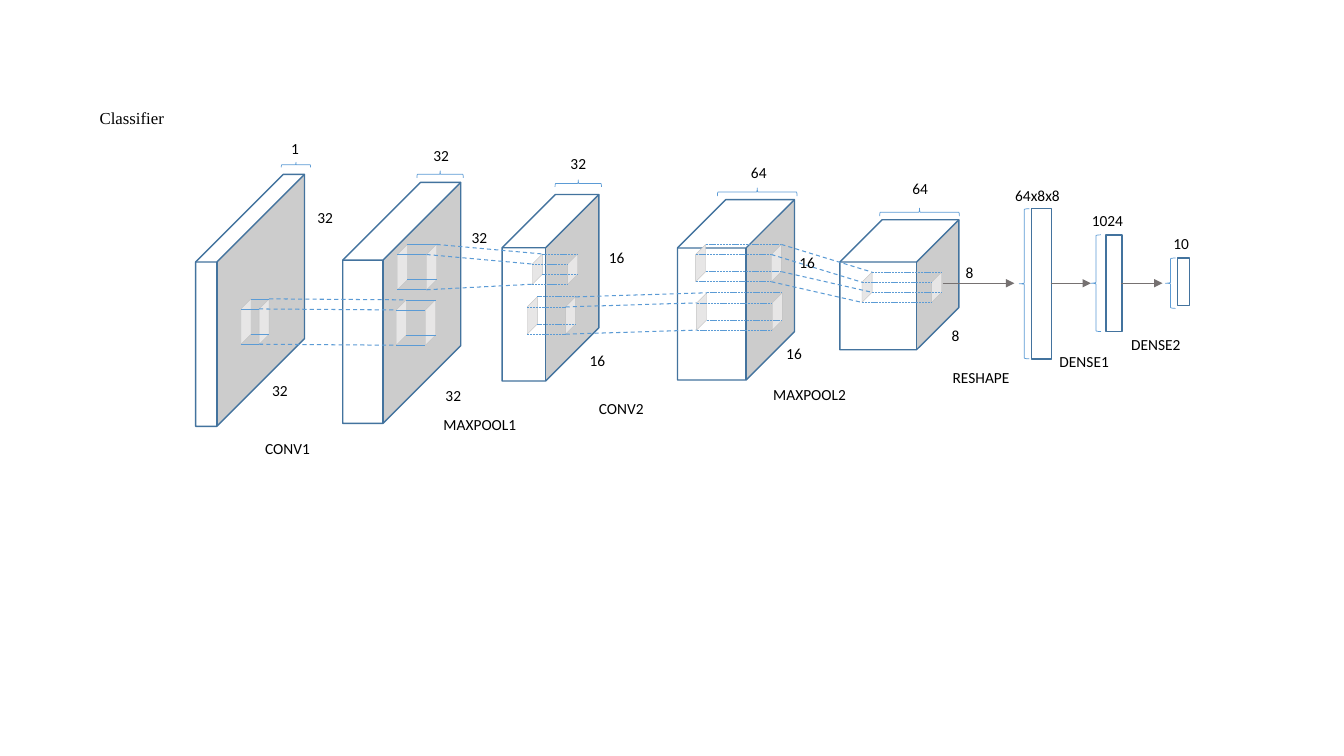
from lxml.etree import SubElement
from pptx import Presentation
from pptx.dml.color import RGBColor
from pptx.enum.dml import MSO_LINE_DASH_STYLE as Dash
from pptx.enum.shapes import MSO_CONNECTOR as Connector, MSO_SHAPE as Preset
from pptx.enum.text import MSO_AUTO_SIZE as AutoSize
from pptx.oxml.ns import qn
from pptx.util import Inches, Pt

WHITE = RGBColor(0xFF, 0xFF, 0xFF)
BLACK = RGBColor(0x00, 0x00, 0x00)
OUTLINE = RGBColor(0x43, 0x73, 0x9E)
BLUE = RGBColor(0x5B, 0x9B, 0xD5)
GREY = RGBColor(0x76, 0x71, 0x71)
FACE = RGBColor(0xE7, 0xE6, 0xE6)
FACE_EDGE = RGBColor(0xBF, 0xBF, 0xBF)

LABEL = {"name": "Calibri", "size": Pt(11)}
TITLE = {"name": "Times New Roman", "size": Pt(12)}
SOLID = {"width": Pt(0.5)}
DOTTED = {"width": Pt(0.5), "dash_style": Dash.SQUARE_DOT}
DASHED = {"width": Pt(0.75), "dash_style": Dash.DASH}
SKEW = 0.05


def apply(target, values):
    for name, value in values.items():
        setattr(target, name, value)


class Diagram:
    def __init__(self, slide):
        self.shapes = slide.shapes

    def finish(self, shape, fill, color, width):
        shape.shadow.inherit = False
        if fill is None:
            shape.fill.background()
        else:
            shape.fill.solid()
            shape.fill.fore_color.rgb = fill
        shape.line.color.rgb = color
        shape.line.width = Pt(width)

    def preset(self, kind, box, fill=WHITE, color=OUTLINE, width=1, depth=None, rotation=0):
        shape = self.shapes.add_shape(kind, *map(Inches, box))
        if depth is not None:
            shape.adjustments[0] = depth
        shape.rotation = rotation
        self.finish(shape, fill, color, width)

    def brace(self, box, rotation=0):
        self.preset(Preset.LEFT_BRACE, box, None, BLUE, 0.5, 0.083, rotation)

    def line(self, start, end, style, color=BLUE, arrow=False):
        connector = self.shapes.add_connector(
            Connector.STRAIGHT, *map(Inches, (*start, *end)))
        connector.line.color.rgb = color
        apply(connector.line, style)
        properties = connector._element.spPr
        if arrow:
            SubElement(properties.find(qn("a:ln")), qn("a:tailEnd"), type="triangle")
        SubElement(properties, qn("a:effectLst"))

    def face(self, corners):
        points = [tuple(map(Inches, corner)) for corner in corners]
        builder = self.shapes.build_freeform(*points[0], scale=1.0)
        builder.add_line_segments(points[1:], close=True)
        self.finish(builder.convert_to_shape(), FACE, FACE_EDGE, 0.25)

    def kernel(self, left, right, middle, height, style):
        half = height / 2
        near, far = [
            [(x - SKEW, middle + half + SKEW), (x - SKEW, middle - half + SKEW),
             (x + SKEW, middle - half - SKEW), (x + SKEW, middle + half - SKEW)]
            for x in (left, right)]
        self.face(far)
        self.face(near)
        self.tunnel(near, far, style)
        return near, far

    def tunnel(self, starts, ends, style):
        for start, end in zip(starts, ends):
            self.line(start, end, style)

    def text(self, words, box, font=LABEL, wrap=False):
        frame = self.shapes.add_textbox(*map(Inches, box)).text_frame
        apply(frame, {"word_wrap": wrap, "auto_size": AutoSize.SHAPE_TO_FIT_TEXT})
        run = frame.paragraphs[0].add_run()
        run.text = words
        apply(run.font, font)
        run.font.color.rgb = BLACK


LAYERS = [
    (3.4, 1.81, 1.17, 2.39, 0.659),
    (6.72, 1.98, 1.16, 1.79, 0.414),
    (1.94, 1.73, 1.08, 2.5, 0.805),
    (4.98, 1.93, 0.96, 1.85, 0.55),
    (8.33, 2.18, 1.18, 1.29, 0.356),
]
VECTORS = [(10.23, 2.07, 0.2, 1.49), (11.68, 2.56, 0.12, 0.47), (10.97, 2.33, 0.16, 0.96)]
VECTOR_BRACES = [(10.11, 2.07, 0.1, 1.49), (10.82, 2.33, 0.1, 0.96), (11.56, 2.56, 0.1, 0.5)]
DEPTH_BRACES = [
    (2.91, 1.49, 0.05, 0.29), (4.33, 1.5, 0.07, 0.46), (5.7, 1.59, 0.07, 0.46),
    (7.47, 1.51, 0.08, 0.79), (9.08, 1.71, 0.08, 0.79),
]
KERNELS = {
    "input": (2.44, 2.62, 3.19, 0.35, SOLID),
    "conv1 low": (3.98, 4.27, 3.2, 0.35, SOLID),
    "conv1 high": (3.99, 4.28, 2.65, 0.35, SOLID),
    "pool1 high": (5.33, 5.68, 2.67, 0.2, DOTTED),
    "pool1 low": (5.28, 5.66, 3.13, 0.27, DOTTED),
    "conv2 low": (6.96, 7.71, 3.09, 0.27, DOTTED),
    "conv2 high": (6.95, 7.7, 2.61, 0.27, DOTTED),
    "pool2": (8.6, 9.29, 2.85, 0.2, DOTTED),
}
TUNNELS = [
    ("input", "conv1 low", 3), ("conv1 high", "pool1 high", 3),
    ("pool1 low", "conv2 low", 3), ("conv2 high", "pool2", 4),
]
ARROWS = [(9.35, 10.06), (10.42, 10.82), (11.12, 11.53)]
DEPTHS = [
    ("1", 2.79, 1.33, 0.65), ("32", 4.2, 1.4, 0.65), ("32", 5.56, 1.48, 0.65),
    ("64", 7.35, 1.57, 1.11), ("64", 8.95, 1.73, 1.11),
]
LABELS = [
    ("64x8x8", 9.97, 1.8, 0.65), ("1024", 10.73, 2.04, 0.52), ("10", 11.54, 2.27, 0.36),
    ("32", 3.05, 2.02, 0.36), ("32", 4.32, 3.78, 0.36), ("32", 2.6, 3.73, 0.36),
    ("32", 4.58, 2.21, 0.36), ("16", 5.94, 2.41, 0.36), ("16", 5.75, 3.43, 0.36),
    ("16", 7.7, 3.36, 0.36), ("16", 7.83, 2.46, 0.36), ("8", 9.48, 2.56, 0.28),
    ("8", 9.34, 3.19, 0.28), ("CONV1", 2.53, 4.31, 0.65), ("MAXPOOL1", 4.3, 4.07, 0.93),
    ("CONV2", 5.84, 3.91, 0.65), ("MAXPOOL2", 7.57, 3.77, 0.93),
    ("RESHAPE", 9.35, 3.6, 0.77), ("DENSE1", 10.41, 3.44, 0.7), ("DENSE2", 11.12, 3.28, 0.7),
]


def main():
    deck = Presentation()
    apply(deck, {"slide_width": Inches(13.33), "slide_height": Inches(7.5)})
    diagram = Diagram(deck.slides.add_slide(deck.slide_layouts[6]))

    for *box, depth in LAYERS:
        diagram.preset(Preset.CUBE, box, depth=depth)
    for box in VECTORS:
        diagram.preset(Preset.RECTANGLE, box)

    kernels = {name: diagram.kernel(*values) for name, values in KERNELS.items()}
    for source, target, count in TUNNELS:
        diagram.tunnel(kernels[source][1][:count], kernels[target][0][:count], DASHED)

    for start, end in ARROWS:
        diagram.line((start, 2.81), (end, 2.81), SOLID, GREY, arrow=True)
    for box in VECTOR_BRACES:
        diagram.brace(box)
    for box in DEPTH_BRACES:
        diagram.brace(box, 90)

    for words, left, top, width in DEPTHS:
        diagram.text(words, (left, top, width, 0.29), wrap=True)
    for words, left, top, width in LABELS:
        diagram.text(words, (left, top, width, 0.29))
    diagram.text("Classifier", (0.89, 1.02, 0.85, 0.3), TITLE)

    deck.save("out.pptx")


if __name__ == "__main__":
    main()
